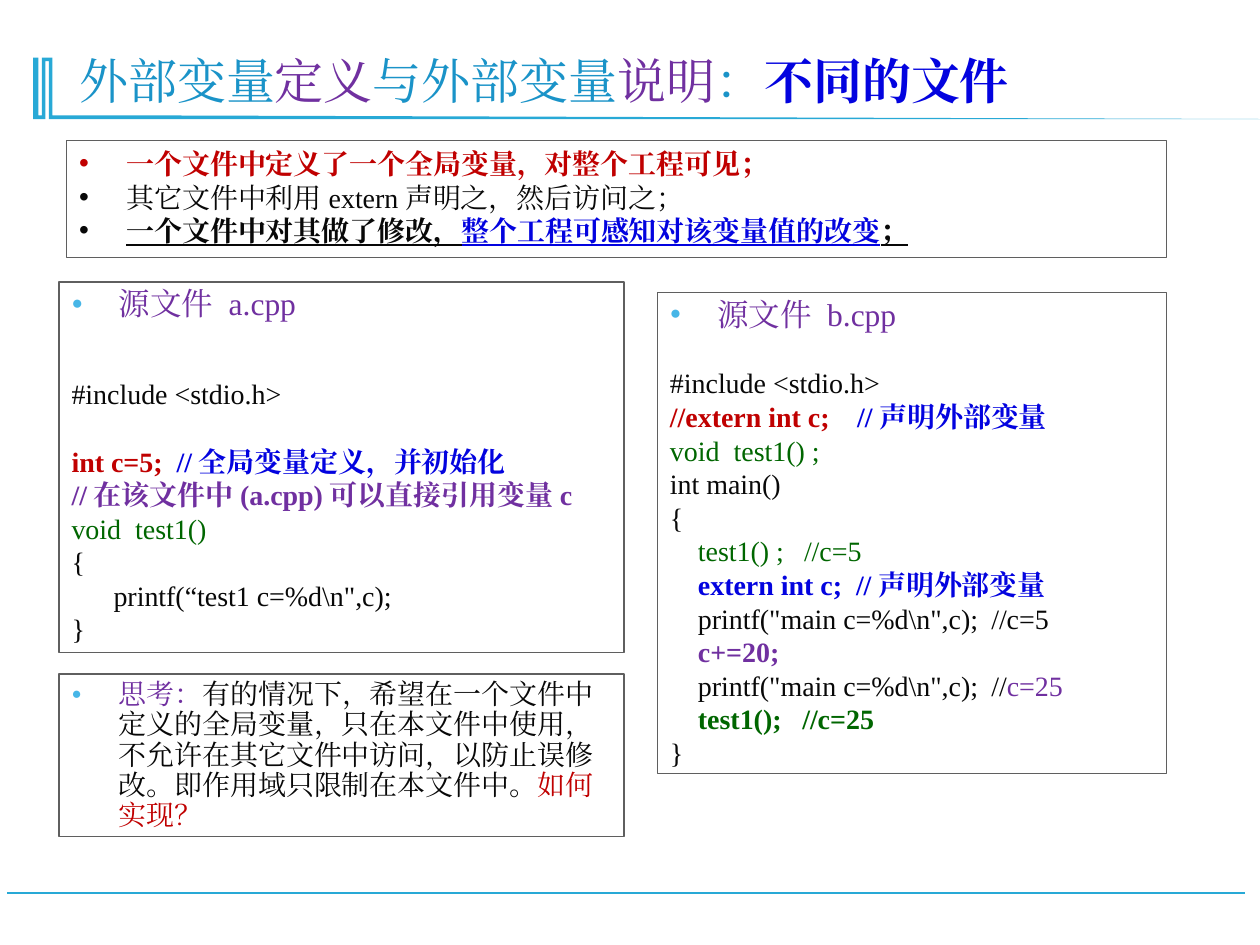
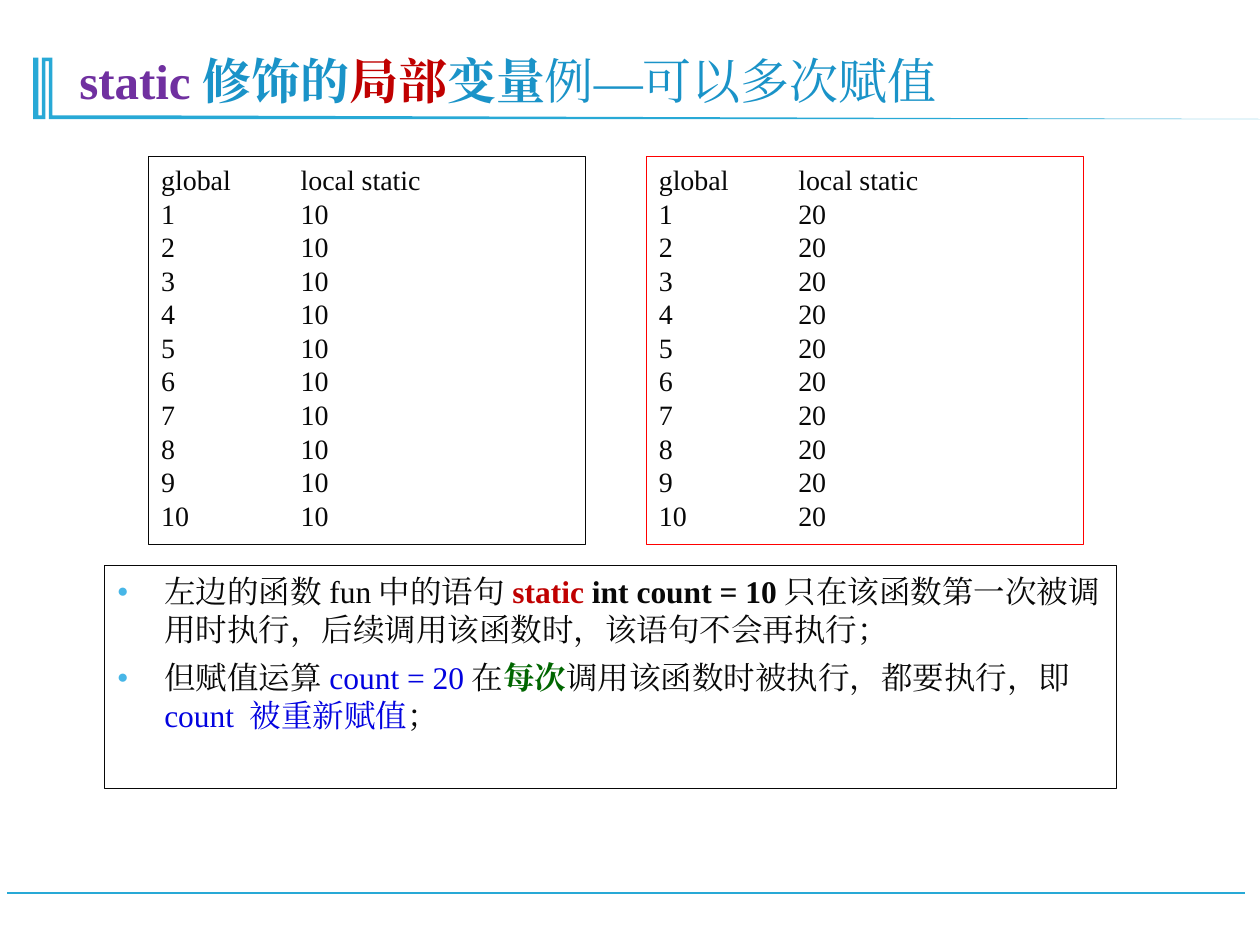
import pptx
import pptx.dml.color
import pptx.enum.shapes
import pptx.enum.text
import pptx.oxml
import pptx.oxml.ns
import pptx.util
from lxml import etree

Pt = pptx.util.Pt
FONT = "Times New Roman"
CYAN, TITLE_BLUE, BULLET_BLUE = "28A9D6", "1A93C8", "47B6E7"
PURPLE, RED, BLUE, GREEN = "7030A0", "C00000", "0303DF", "006600"
INK, GRAY, WHITE, BRIGHT_RED = "080808", "5F5F5F", "FFFFFF", "FF0000"
CORNER = [(29.5, 33.1), (29.5, 66.2), (100.8, 66.2), (720, 67.6), (28.1, 67.6),
          (28.1, 34.6), (25.9, 34.6), (25.9, 67.6), (19.4, 67.6), (19.4, 33.1),
          (21.6, 33.1), (21.6, 65.5), (23.8, 65.5), (23.8, 33.1)]
HANG = 27


def color(value):
    return pptx.dml.color.RGBColor.from_string(value)


def add_xml(parent, tag, **attributes):
    element = etree.SubElement(parent, pptx.oxml.ns.qn("a:" + tag))
    for name, value in attributes.items():
        element.set(name, str(value))
    return element


class Deck:
    """Holds the shared style and the current slide, and draws each kind of element."""

    def __init__(self):
        self.presentation = pptx.Presentation()
        self.presentation.slide_width = Pt(720)
        self.presentation.slide_height = Pt(540)
        self.slide = None

    def new_slide(self, *title_runs):
        self.slide = self.presentation.slides.add_slide(self.presentation.slide_layouts[6])
        self.rule(711.4, 4.3, 510.5)
        self.corner()
        title = self.slide.shapes.add_textbox(Pt(38.2), Pt(20.2), Pt(637.2), Pt(46.1))
        self.prepare(title.text_frame, pptx.enum.text.MSO_ANCHOR.BOTTOM)
        self.paragraph(title.text_frame, title_runs, size=28, pitch=30)

    def rule(self, start, end, top):
        line = self.slide.shapes.add_connector(
            pptx.enum.shapes.MSO_CONNECTOR.STRAIGHT, Pt(start), Pt(top), Pt(end), Pt(top))
        line.line.color.rgb = color(CYAN)
        line.line.width = Pt(1.25)
        add_xml(line._element.spPr, "effectLst")

    def corner(self):
        builder = self.slide.shapes.build_freeform(*CORNER[0], scale=Pt(1))
        builder.add_line_segments(CORNER[1:], close=True)
        shape = builder.convert_to_shape()
        shape.shadow.inherit = False
        shape.fill.solid()
        shape.fill.fore_color.rgb = color(CYAN)
        shape.line.fill.background()

    def box(self, left, top, width, height, outline=GRAY, weight=0.75, filled=False):
        shape = self.slide.shapes.add_shape(
            pptx.enum.shapes.MSO_SHAPE.RECTANGLE, Pt(left), Pt(top), Pt(width), Pt(height))
        shape.shadow.inherit = False
        if filled:
            shape.fill.solid()
            shape.fill.fore_color.rgb = color(WHITE)
        else:
            shape.fill.background()
        shape.line.color.rgb = color(outline)
        shape.line.width = Pt(weight)
        self.prepare(shape.text_frame, pptx.enum.text.MSO_ANCHOR.TOP)
        return shape.text_frame

    def prepare(self, frame, anchor):
        frame.word_wrap = True
        frame.vertical_anchor = anchor

    def paragraph(self, frame, runs, size=16, pitch=19.2, before=0, bullet=None, tabs=()):
        paragraph = frame.paragraphs[0]
        if paragraph.runs:
            paragraph = frame.add_paragraph()
        paragraph.alignment = pptx.enum.text.PP_ALIGN.LEFT
        paragraph.line_spacing = Pt(pitch)
        paragraph.space_before = Pt(before)
        properties = paragraph._p.get_or_add_pPr()
        if bullet:
            properties.set("marL", str(Pt(HANG)))
            properties.set("indent", str(-Pt(HANG)))
            if bullet == "●":
                add_xml(add_xml(properties, "buClr"), "srgbClr", val=BULLET_BLUE)
                add_xml(properties, "buSzPct", val=60000)
            add_xml(properties, "buFont", typeface="Arial")
            add_xml(properties, "buChar", char=bullet)
        if tabs:
            stops = add_xml(properties, "tabLst")
            for stop in tabs:
                add_xml(stops, "tab", pos=Pt(stop), algn="l")
        for text, tint, *style in runs:
            self.run(paragraph, text, size, tint, style)

    def run(self, paragraph, text, size, tint, style):
        run = paragraph.add_run()
        run.text = text
        run.font.size = Pt(size)
        run.font.bold = "bold" in style
        run.font.underline = "underline" in style
        run.font.color.rgb = color(tint)
        run.font.name = FONT
        add_xml(run._r.get_or_add_rPr(), "ea", typeface=FONT)

    def code(self, frame, file_name, lines):
        self.paragraph(frame, [("源文件 " + file_name, PURPLE)], 18, 19.4, bullet="●")
        for before, tabs, *runs in lines:
            self.paragraph(frame, runs, before=before, tabs=tabs)

    def output(self, left, outline, static_value):
        frame = self.box(left, 89.3, 249.8, 221.8, outline)
        rows = [("global", "local static")] + [(n, static_value) for n in range(1, 11)]
        for count, value in rows:
            self.paragraph(frame, [(f"{count}\t{value}", INK)], tabs=[79.7])


def add_files_slide(deck):
    deck.new_slide(("外部变量", TITLE_BLUE), ("定义", PURPLE), ("与外部变量", TITLE_BLUE),
                   ("说明", PURPLE), ("：", TITLE_BLUE), ("不同的文件", BLUE, "bold"))

    deck.code(deck.box(375.8, 167, 290.9, 275), "b.cpp", [
        (19.2, [], ("#include <stdio.h>", INK)),
        (0, [107], ("//extern int c;\t", RED, "bold"), ("//声明外部变量", BLUE, "bold")),
        (0, [36.4], ("void\ttest1() ;", GREEN)),
        (0, [], ("int main()", INK)),
        (0, [], ("{", INK)),
        (0, [16, 76.6], ("\ttest1() ;\t//c=5", GREEN)),
        (0, [16, 106.3], ("\textern int c;\t//声明外部变量", BLUE, "bold")),
        (0, [16, 183.6], ("\tprintf(\"main c=%d\\n\",c);\t//c=5", INK)),
        (0, [16], ("\tc+=20;", PURPLE, "bold")),
        (0, [16, 183.6], ("\tprintf(\"main c=%d\\n\",c);\t//", INK), ("c=25", PURPLE)),
        (0, [16, 75.6], ("\ttest1();\t//c=25", GREEN, "bold")),
        (0, [], ("}", INK)),
    ])
    deck.code(deck.box(33.8, 161.2, 322.6, 211.6, weight=1, filled=True), "a.cpp", [
        (31.2, [], ("#include <stdio.h>", INK)),
        (19.2, [60], ("int c=5;\t", RED, "bold"), ("//全局变量定义，并初始化", BLUE, "bold")),
        (0, [], ("//在该文件中(a.cpp)可以直接引用变量c", PURPLE, "bold")),
        (0, [36.4], ("void\ttest1()", GREEN)),
        (0, [], ("{", INK)),
        (0, [24], ("\tprintf(“test1 c=%d\\n\",c);", INK)),
        (0, [], ("}", INK)),
    ])

    summary = deck.box(38.2, 80.2, 628.6, 67)
    for runs in (
        [("一个文件中定义了一个全局变量，对整个工程可见；", RED, "bold")],
        [("其它文件中利用extern声明之，然后访问之；", INK)],
        [("一个文件中对其做了修改，", INK, "bold", "underline"),
         ("整个工程可感知对该变量值的改变", BLUE, "bold", "underline"),
         ("；", INK, "bold", "underline")],
    ):
        deck.paragraph(summary, runs, bullet="•")

    question = deck.box(33.8, 385.2, 322.6, 92.9, weight=1, filled=True)
    deck.paragraph(question, [
        ("思考：", PURPLE),
        ("有的情况下，希望在一个文件中定义的全局变量，只在本文件中使用，"
         "不允许在其它文件中访问，以防止误修改。即作用域只限制在本文件中。", INK),
        ("如何实现？", RED),
    ], pitch=17.2, bullet="●")


def add_static_slide(deck):
    deck.new_slide(("static", PURPLE, "bold"), ("修饰的", TITLE_BLUE, "bold"),
                   ("局部", RED, "bold"), ("变量", TITLE_BLUE, "bold"),
                   ("例—可以多次赋值", TITLE_BLUE))
    deck.output(85, INK, 10)
    deck.output(369.4, BRIGHT_RED, 20)

    explanation = deck.box(59.8, 323.3, 578.2, 127.4, INK)
    for before, runs in (
        (0, [("左边的函数fun中的语句", INK), ("static", RED, "bold"),
             (" int count = 10", INK, "bold"),
             ("只在该函数第一次被调用时执行，后续调用该函数时，该语句不会再执行；", INK)]),
        (6, [("但赋值运算", INK), ("count = 20", BLUE), ("在", INK), ("每次", GREEN, "bold"),
             ("调用该函数时被执行，都要执行，即 ", INK), ("count 被重新赋值", BLUE),
             ("；", INK)]),
    ):
        deck.paragraph(explanation, runs, 18, 21.6, before, "●")


def main():
    deck = Deck()
    add_files_slide(deck)
    add_static_slide(deck)
    deck.presentation.save("out.pptx")


if __name__ == "__main__":
    main()
